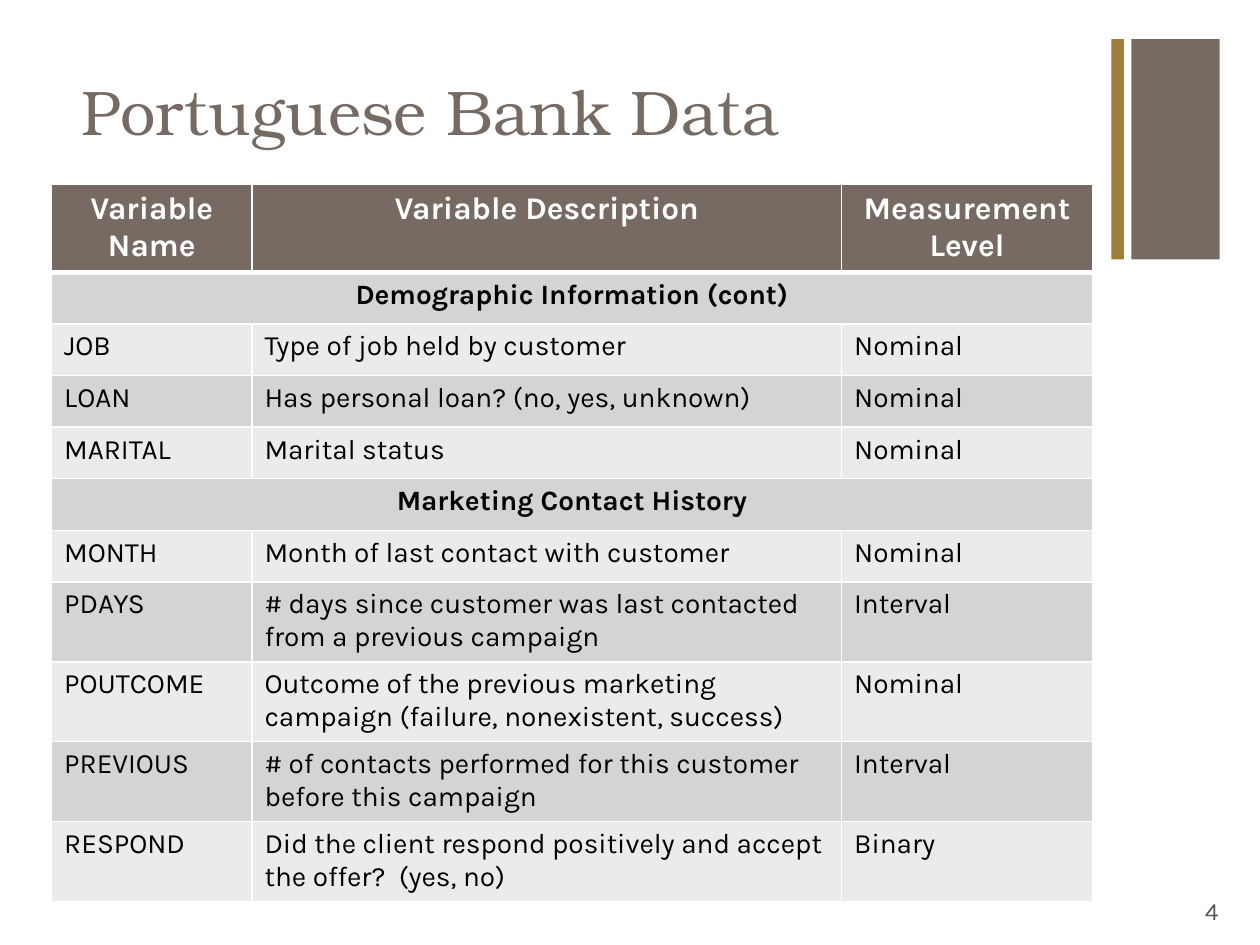
import pptx
import pptx.util
import pptx.dml.color
import pptx.enum.shapes
import pptx.enum.text
import pptx.oxml
import pptx.oxml.ns

Inches, Pt = pptx.util.Inches, pptx.util.Pt
RGBColor = pptx.dml.color.RGBColor
ALIGN = pptx.enum.text.PP_ALIGN
ANCHOR = pptx.enum.text.MSO_ANCHOR

BROWN = RGBColor(0x76, 0x6A, 0x62)
GOLD = RGBColor(0x9E, 0x7E, 0x38)
DARK = RGBColor(0xD6, 0xD4, 0xD3)
LIGHT = RGBColor(0xEC, 0xEB, 0xEA)
GREY = RGBColor(0x59, 0x59, 0x59)
WHITE = RGBColor(0xFF, 0xFF, 0xFF)
BLACK = RGBColor(0, 0, 0)
BODY, SERIF = "Karla", "TeX Gyre Bonum"

# Content: a row with one entry is a section heading
TITLE = "Portuguese Bank Data"
NUMBER = "4"
ROWS = [
    ("Variable Name", "Variable Description", "Measurement Level"),
    ("Demographic Information (cont)",),
    ("JOB", "Type of job held by customer", "Nominal"),
    ("LOAN", "Has personal loan? (no, yes, unknown)", "Nominal"),
    ("MARITAL", "Marital status", "Nominal"),
    ("Marketing Contact History",),
    ("MONTH", "Month of last contact with customer", "Nominal"),
    ("PDAYS", "# days since customer was last contacted from a previous campaign",
     "Interval"),
    ("POUTCOME", "Outcome of the previous marketing campaign "
     "(failure, nonexistent, success)", "Nominal"),
    ("PREVIOUS", "# of contacts performed for this customer before this campaign",
     "Interval"),
    ("RESPOND", "Did the client respond positively and accept the offer?  (yes, no)",
     "Binary"),
]
WIDTHS = (1.59, 4.68, 1.99)
HEIGHT = 0.41
BARS = [(8.98, 0.7, BROWN), (8.82, 0.1, GOLD)]


def write(frame, text, font=BODY, size=16, color=BLACK, bold=False,
          align=ALIGN.LEFT):
    frame.word_wrap = True
    para = frame.paragraphs[0]
    para.alignment = align
    run = para.add_run()
    run.text = text
    run.font.name, run.font.size = font, Pt(size)
    run.font.bold, run.font.color.rgb = bold, color


def add_box(slide, place, text, anchor, **style):
    frame = slide.shapes.add_textbox(*map(Inches, place)).text_frame
    frame.vertical_anchor = anchor
    write(frame, text, **style)


def set_edges(cell, base):
    props = cell._tc.get_or_add_tcPr()
    for side in "LRTB":
        width = Pt(base if side == "B" else 1)
        props.append(pptx.oxml.parse_xml(
            f'<a:ln{side} {pptx.oxml.ns.nsdecls("a")} w="{width}"><a:solidFill>'
            f'<a:srgbClr val="{WHITE}"/></a:solidFill></a:ln{side}>'))


def add_grid(slide):
    table = slide.shapes.add_table(
        len(ROWS), len(WIDTHS), Inches(0.41), Inches(1.46),
        Inches(sum(WIDTHS)), Inches(HEIGHT * len(ROWS))).table
    for col, width in zip(table.columns, WIDTHS):
        col.width = Inches(width)
    for i, texts in enumerate(ROWS):
        table.rows[i].height = Inches(HEIGHT)
        head, section = i == 0, len(texts) == 1
        fill = BROWN if head else DARK if i % 2 else LIGHT
        for cell in table.rows[i].cells:
            set_edges(cell, 3 if head else 1)
            cell.fill.solid()
            cell.fill.fore_color.rgb = fill
        if section:
            table.cell(i, 0).merge(table.cell(i, len(WIDTHS) - 1))
        for j, text in enumerate(texts):
            write(table.cell(i, j).text_frame, text,
                  size=18 if head else 16, color=WHITE if head else BLACK,
                  bold=head or section,
                  align=ALIGN.CENTER if head or section else ALIGN.LEFT)


def main():
    deck = pptx.Presentation()
    deck.slide_width, deck.slide_height = Inches(10), Inches(7.5)
    slide = deck.slides.add_slide(deck.slide_layouts[6])

    # Corner bars
    for left, width, color in BARS:
        bar = slide.shapes.add_shape(
            pptx.enum.shapes.MSO_SHAPE.RECTANGLE,
            Inches(left), Inches(0.31), Inches(width), Inches(1.75))
        bar.shadow.inherit = False
        bar.fill.solid()
        bar.fill.fore_color.rgb = color
        bar.line.fill.background()

    # Title, table and slide number
    add_box(slide, (0.55, 0.53, 8.26, 1.22), TITLE, ANCHOR.TOP,
            font=SERIF, size=36, color=BROWN)
    add_grid(slide)
    add_box(slide, (9.16, 7.03, 0.61, 0.4), NUMBER, ANCHOR.MIDDLE,
            size=14, color=GREY, align=ALIGN.RIGHT)
    deck.save("out.pptx")


if __name__ == "__main__":
    main()
